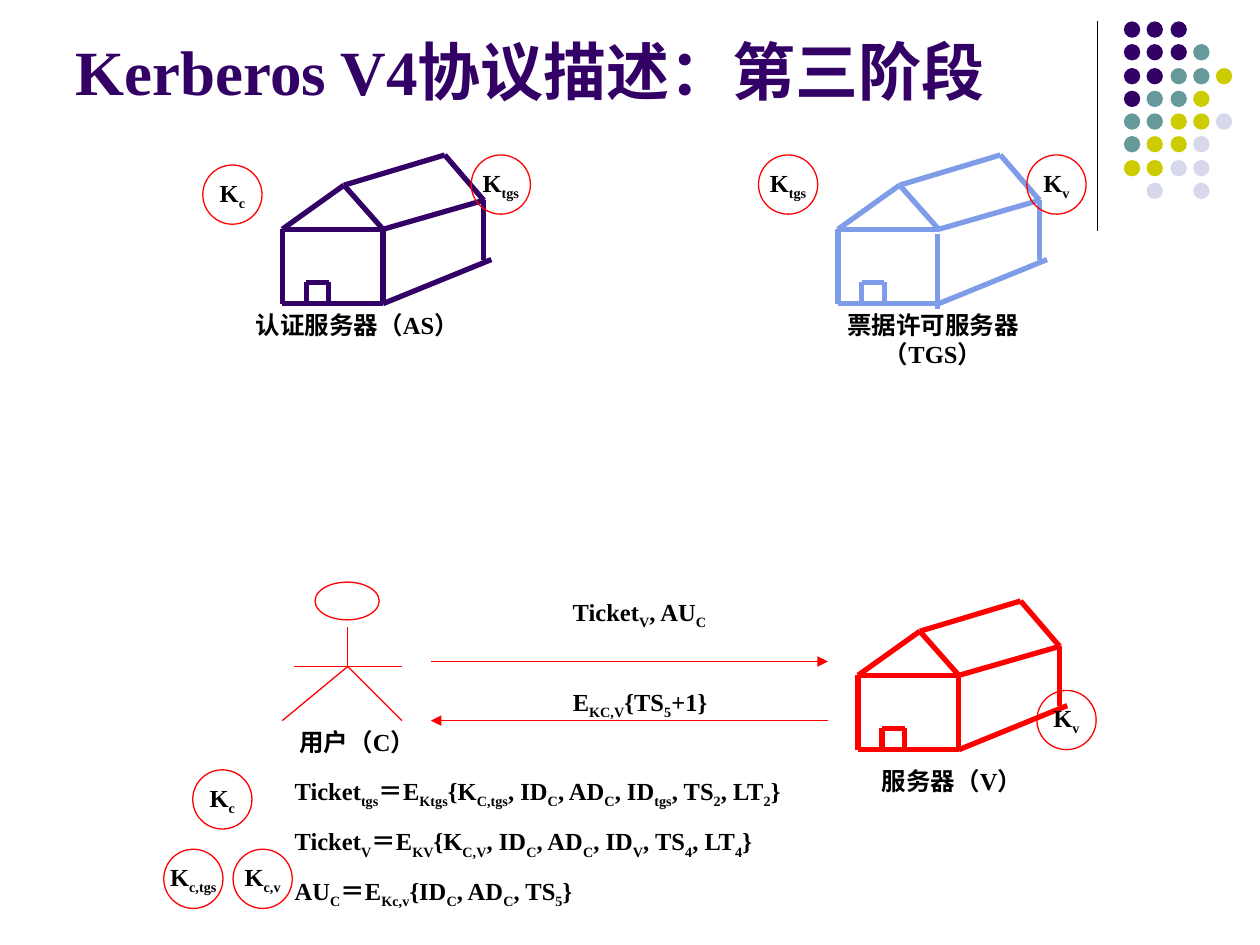
import pptx
import pptx.util
import pptx.dml.color
import pptx.enum.shapes
import pptx.enum.text
import pptx.oxml
import pptx.oxml.ns
from dataclasses import dataclass

PX = 9144  # EMU in one px, 100 px to the inch
ALIGN = pptx.enum.text.PP_ALIGN
ANCHOR = pptx.enum.text.MSO_ANCHOR


@dataclass(frozen=True)
class Theme:
    font: str = "Times New Roman"
    title_size: int = 36
    body_size: int = 14
    thin: float = 0.75
    thick: float = 3
    purple: str = "330066"
    blue: str = "7E9CE8"
    red: str = "FF0000"
    black: str = "000000"
    teal: str = "669999"
    olive: str = "CCCC00"
    pale: str = "D8D8EC"


def rgb(value):
    return pptx.dml.color.RGBColor.from_string(value)


def px(*values):
    return [pptx.util.Emu(v * PX) for v in values]


def write(tf, text, *, size, color, font, align=ALIGN.LEFT, anchor=ANCHOR.TOP, wrap=True):
    """Write one bold paragraph; every second part between bars is a subscript."""
    tf.word_wrap = wrap
    tf.auto_size = pptx.enum.text.MSO_AUTO_SIZE.NONE
    tf.vertical_anchor = anchor
    p = tf.paragraphs[0]
    p.alignment = align
    for i, part in enumerate(text.split("|")):
        if not part:
            continue
        r = p.add_run()
        r.text = part
        r.font.name = font
        r.font.size = pptx.util.Pt(size)
        r.font.bold = True
        r.font.color.rgb = rgb(color)
        if i % 2:
            r.font._element.set("baseline", "-25000")


class Builder:
    def __init__(self, s, theme):
        self.s = s
        self.t = theme

    def title(self, text, x, y, w, h):
        sp = self.s.shapes.title
        sp.left, sp.top, sp.width, sp.height = px(x, y, w, h)
        write(sp.text_frame, text, size=self.t.title_size, color=self.t.purple,
              font=self.t.font, anchor=ANCHOR.BOTTOM)

    def text(self, text, x, y, w, h=33, align=ALIGN.CENTER):
        sp = self.s.shapes.add_textbox(*px(x, y, w, h))
        write(sp.text_frame, text, size=self.t.body_size, color=self.t.black,
              font=self.t.font, align=align)

    def line(self, start, end, color, width, arrow=None):
        c = self.s.shapes.add_connector(
            pptx.enum.shapes.MSO_CONNECTOR.STRAIGHT, *px(*start, *end))
        c.line.color.rgb = rgb(color)
        c.line.width = pptx.util.Pt(width)
        spPr = c._element.spPr
        if arrow:
            ln = spPr.find(pptx.oxml.ns.qn("a:ln"))
            ln.append(pptx.oxml.parse_xml(
                f'<a:{arrow} {pptx.oxml.ns.nsdecls("a")} type="triangle"/>'))
        spPr.append(pptx.oxml.parse_xml(f'<a:effectLst {pptx.oxml.ns.nsdecls("a")}/>'))

    def ellipse(self, x, y, w, h, fill=None, line=None):
        sp = self.s.shapes.add_shape(pptx.enum.shapes.MSO_SHAPE.OVAL, *px(x, y, w, h))
        sp.shadow.inherit = False
        if fill:
            sp.fill.solid()
            sp.fill.fore_color.rgb = rgb(fill)
        else:
            sp.fill.background()
        if line:
            sp.line.color.rgb = rgb(line)
            sp.line.width = pptx.util.Pt(self.t.thin)
        else:
            sp.line.fill.background()
        return sp

    def key(self, sub, x, y):
        sp = self.ellipse(x, y, 47, 47, line=self.t.red)
        write(sp.text_frame, f"K|{sub}", size=self.t.body_size, color=self.t.black,
              font=self.t.font, align=ALIGN.CENTER, anchor=ANCHOR.MIDDLE, wrap=False)

    def house(self, x, y, color, wall_dx=0, wall_dy=0):
        """Draw a house; the wall offsets move its front right wall."""
        apex, ridge = (49, 24), (129, 0)
        left, right, eave = (0, 59), (80, 59), (160, 36)
        base_left, base_right = (0, 118), (80, 118)
        wall = [(px_ + wall_dx, py + wall_dy) for px_, py in (right, base_right)]
        edges = [
            (apex, left), (apex, right), (left, right),
            (apex, ridge), (ridge, eave), (right, eave),
            (left, base_left), wall, (base_left, base_right),
            (base_right, (166, 83)), (eave, (160, 83)),
            ((19, 101), (19, 118)), ((19, 101), (37, 101)), ((37, 101), (37, 118)),
        ]
        for (x1, y1), (x2, y2) in edges:
            self.line((x + x1, y + y1), (x + x2, y + y2), color, self.t.thick)

    def person(self, x, y):
        self.ellipse(x + 26, y, 51, 30, line=self.t.red)
        neck, hip = (x + 52, y + 36), (x + 52, y + 67)
        for start, end in [(neck, hip), (hip, (x, y + 110)), (hip, (x + 95, y + 110)),
                           ((x + 9, y + 67), (x + 95, y + 67))]:
            self.line(start, end, self.t.red, self.t.thin)

    def dots(self, x, y, rows):
        colors = dict(P=self.t.purple, T=self.t.teal, O=self.t.olive, L=self.t.pale)
        for j, row in enumerate(rows):
            for i, mark in enumerate(row):
                if mark in colors:
                    self.ellipse(round(x + 18.3 * i), round(y + 18.3 * j), 13, 13,
                                 fill=colors[mark])


def main():
    prs = pptx.Presentation()
    prs.slide_width, prs.slide_height = px(1000, 750)
    theme = Theme()
    b = Builder(prs.slides.add_slide(prs.slide_layouts[5]), theme)

    # Corner decoration and title
    b.line((871, 17), (871, 183), theme.black, theme.thin)
    b.dots(892, 17, ["PPP", "PPPT", "PPTTO", "PTTO", "TTOOL", "TOOL", "OOLL", ".L.L"])
    b.title("Kerberos V4协议描述：第三阶段", 50, 13, 825, 78)

    # Servers and user
    b.house(665, 123, theme.blue, wall_dx=-1, wall_dy=4)
    b.house(681, 477, theme.red)
    b.house(224, 123, theme.purple)
    b.person(224, 462)
    b.text("票据许可服务器（TGS）", 642, 241, 197, 57)
    b.text("服务器（V）", 657, 603, 197)
    b.text("认证服务器（AS）", 185, 241, 197)
    b.text("用户（C）", 185, 572, 197)

    # Messages between user and server
    b.line((342, 525), (657, 525), theme.red, theme.thin, arrow="tailEnd")
    b.text("Ticket|V|, AU|C", 358, 469, 299)
    b.line((342, 572), (657, 572), theme.red, theme.thin, arrow="headEnd")
    b.text("E|KC,V|{TS|5|+1}", 366, 540, 284)

    # Definitions
    for text, y, w in [
        ("Ticket|tgs|＝E|Ktgs|{K|C,tgs|, ID|C|, AD|C|, ID|tgs|, TS|2|, LT|2|}", 611, 496),
        ("Ticket|V|＝E|KV|{K|C,V|, ID|C|, AD|C|, ID|V|, TS|4|, LT|4|}", 651, 433),
        ("AU|C|＝E|Kc,v|{ID|C|, AD|C|, TS|5|}", 690, 307),
    ]:
        b.text(text, 224, y, w, align=ALIGN.LEFT)

    # Keys held by each party
    for sub, x, y in [("c", 153, 611), ("c", 161, 131), ("tgs", 602, 123), ("v", 823, 548),
                      ("tgs", 374, 123), ("v", 815, 123), ("c,tgs", 130, 674),
                      ("c,v", 185, 674)]:
        b.key(sub, x, y)

    prs.save("out.pptx")


if __name__ == "__main__":
    main()
